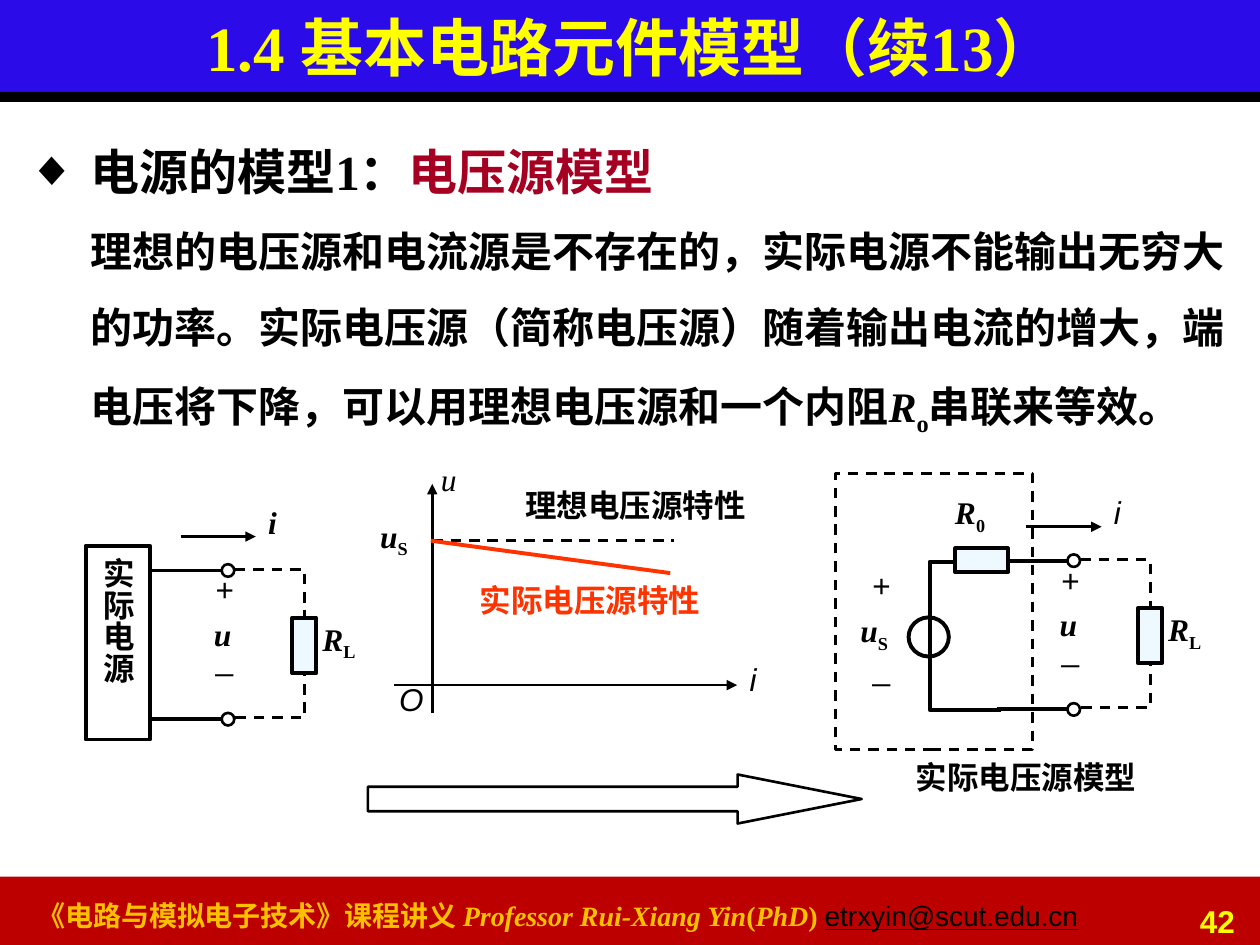
import pptx
import pptx.util
import pptx.dml.color
import pptx.enum.dml
import pptx.enum.shapes
import pptx.enum.text
import pptx.oxml
import pptx.oxml.ns

Pt = pptx.util.Pt
Kind = pptx.enum.shapes.MSO_SHAPE
Align = pptx.enum.text.PP_ALIGN
Anchor = pptx.enum.text.MSO_ANCHOR
SERIF, SANS = "Times New Roman", "Arial"
BLACK, YELLOW, ORANGE, PALE = "000000", "FFFF00", "FF3300", "EDF8FF"
VAR = dict(face=SERIF, bold=True, italic=True)
SUB = dict(italic=False, base=-25)


def color(code):
    return pptx.dml.color.RGBColor.from_string(code)


def child(node, tag, **attrs):
    item = pptx.oxml.parse_xml("<a:%s %s/>" % (tag, pptx.oxml.ns.nsdecls("a")))
    for key, value in attrs.items():
        item.set(key, value)
    node.append(item)


def write(para, text, size=18, face=SANS, ink=BLACK, bold=False,
          italic=False, under=False, base=0):
    run = para.add_run()
    run.text = text
    font = run.font
    font.size, font.name = Pt(size), face
    font.bold, font.italic, font.underline = bold, italic, under
    font.color.rgb = color(ink)
    if base:
        run._r.get_or_add_rPr().set("baseline", str(base * 1000))


class Board:
    thin, thick = 1.5, 2.25

    def __init__(self, slide):
        self.slide = slide
        self.shapes = slide.shapes

    def stroke(self, line, width, ink=BLACK, dash=False):
        line.color.rgb = color(ink)
        line.width = Pt(width)
        if dash:
            line.dash_style = pptx.enum.dml.MSO_LINE.DASH

    def shape(self, kind, x, y, w, h, fill=None, width=0, dash=False):
        item = self.shapes.add_shape(kind, Pt(x), Pt(y), Pt(w), Pt(h))
        item.shadow.inherit = False
        if fill:
            item.fill.solid()
            item.fill.fore_color.rgb = color(fill)
        else:
            item.fill.background()
        if width:
            self.stroke(item.line, width, dash=dash)
        else:
            item.line.fill.background()
        return item

    def line(self, x1, y1, x2, y2, width=thin, ink=BLACK, dash=False, arrow=False):
        item = self.shapes.add_connector(
            pptx.enum.shapes.MSO_CONNECTOR.STRAIGHT, Pt(x1), Pt(y1), Pt(x2), Pt(y2))
        self.stroke(item.line, width, ink, dash)
        if arrow:
            child(item.line._get_or_add_ln(), "tailEnd", type="triangle")
        child(item._element.spPr, "effectLst")

    def track(self, points, width, dash=False):
        spots = [(Pt(x), Pt(y)) for x, y in points]
        build = self.shapes.build_freeform(*spots[0], scale=1.0)
        build.add_line_segments(spots[1:], close=False)
        item = build.convert_to_shape()
        item.shadow.inherit = False
        item.fill.background()
        self.stroke(item.line, width, dash=dash)

    def label(self, x, y, w, h, text, sub="", wrap=False, align=None, **style):
        item = self.shapes.add_textbox(Pt(x), Pt(y), Pt(w), Pt(h))
        item.text_frame.word_wrap = wrap
        para = item.text_frame.paragraphs[0]
        if align:
            para.alignment = align
        if text:
            write(para, text, **style)
        if sub:
            write(para, sub, **{**style, **SUB})
        return para

    def holder(self, index, x, y, w, h, anchor):
        item = self.slide.placeholders[index]
        item.left, item.top, item.width, item.height = Pt(x), Pt(y), Pt(w), Pt(h)
        self.shapes._spTree.append(item._element)
        frame = item.text_frame
        frame.word_wrap = True
        frame.auto_size = pptx.enum.text.MSO_AUTO_SIZE.NONE
        frame.vertical_anchor = anchor
        para = frame.paragraphs[0]
        para.space_before = Pt(0)
        return para

    def signs(self, x, y, gap):
        self.label(x, y, 28, 36, "+")
        self.label(x, y + gap, 27, 36, "_")

    def load(self, x, y, **style):
        for row in (y, y + 85):
            self.line(x - 40.5, row, x + 1, row, self.thick)
            self.shape(Kind.OVAL, x, row - 3.6, 7.2, 7.2, width=self.thin)
        self.signs(x - 10.5, y - 3.6, 39.5)
        self.label(x - 11.5, y + 22, 24.5, 29, "u", **VAR)
        self.line(x - 23.5, y - 19.4, x + 19.5, y - 19.4, arrow=True)
        self.label(x + 19.5, y - 42, 20, 29, "i", **style)
        self.track([(x + 7.5, y - 0.5), (x + 47.3, y - 0.5),
                    (x + 47.3, y + 84), (x + 7.5, y + 84)], self.thin, dash=True)
        self.shape(Kind.RECTANGLE, x + 40.3, y + 27, 13.7, 31.7, PALE, self.thick)
        self.label(x + 50.4, y + 24.5, 34.5, 29, "R", "L", **VAR)


def heading(board):
    board.shape(Kind.RECTANGLE, -1.5, 501, 723, 40, "BC0000")
    board.shape(Kind.RECTANGLE, -1.5, 0, 723, 54.7, "2B0CE8")
    board.shape(Kind.RECTANGLE, -1, 52.5, 722, 5.7, BLACK)
    title = board.holder(0, 0, 0, 721.5, 52.5, Anchor.MIDDLE)
    title.alignment = Align.CENTER
    write(title, "1.4 基本电路元件模型（续13）", 36, SERIF, YELLOW, True)

    body = board.holder(1, 8.6, 60.5, 700, 436, Anchor.TOP)
    body.line_spacing = 1.5
    props = body._p.get_or_add_pPr()
    props.set("marL", str(Pt(36)))
    props.set("indent", str(-Pt(36)))
    child(props, "buChar", char="◆")
    write(body, "电源的模型1：", 28, SERIF, bold=True)
    write(body, "电压源模型", 28, SERIF, "A50021", True)
    body.add_line_break()
    text = dict(size=24, face=SERIF, bold=True)
    write(body, "理想的电压源和电流源是不存在的，实际电源不能输出无穷大的功率。"
          "实际电压源（简称电压源）随着输出电流的增大，端电压将下降，"
          "可以用理想电压源和一个内阻", **text)
    write(body, "R", italic=True, **text)
    write(body, "o", base=-25, **text)
    write(body, "串联来等效。", **text)


def footer(board):
    style = dict(size=16, face=SERIF, ink="FFC000", bold=True)
    foot = board.label(14.4, 509.8, 635, 26.6, "《电路与模拟电子技术》课程讲义 ",
                       wrap=True, **style)
    for text, slant in (("Professor Rui-Xiang Yin", True), ("(", False),
                        ("PhD", True), (") ", False)):
        write(foot, text, italic=slant, **style)
    write(foot, "etrxyin@scut.edu.cn", 16, under=True)
    board.label(645, 512, 67.7, 22.3, "42", wrap=True, align=Align.RIGHT,
                ink=YELLOW, bold=True)


def source(board):
    box = board.shape(Kind.RECTANGLE, 49, 311.8, 36.7, 110.8, width=board.thick)
    frame = box.text_frame
    frame._txBody.bodyPr.set("vert", "eaVert")
    frame.vertical_anchor = Anchor.MIDDLE
    frame.margin_bottom = Pt(27)
    para = frame.paragraphs[0]
    para.alignment = Align.CENTER
    write(para, "实际电源", bold=True)
    board.load(126.7, 326, **VAR)
    arrow = board.shape(Kind.RIGHT_ARROW, 210.2, 442.6, 282.2, 28, width=board.thin)
    arrow.adjustments[0] = 0.5
    arrow.adjustments[1] = 2.53


def chart(board):
    board.line(225.4, 391.5, 421.2, 391.5, arrow=True)
    board.line(247, 407.5, 247, 276.5, arrow=True)
    board.line(247, 309, 385.2, 309, dash=True)
    board.line(246.2, 309, 383, 327.5, board.thick, ORANGE)
    board.label(244.8, 259.2, 23.8, 29, "u", face=SERIF, italic=True)
    board.label(421.2, 373.7, 20.9, 36, "i", italic=True)
    board.label(221, 385.2, 28.8, 29, "O", italic=True)
    board.label(210.2, 291.6, 31.7, 29, "u", "S", **VAR)
    board.label(293, 274.3, 142.6, 29, "理想电压源特性", bold=True)
    board.label(267.1, 328.3, 142.6, 29, "实际电压源特性", bold=True, ink=ORANGE)


def model(board):
    board.label(516.2, 429.8, 142.6, 29, "实际电压源模型", bold=True)
    board.load(610, 320.4, italic=True)
    board.track([(571, 321), (531.2, 321), (531.2, 405.6), (571.7, 405.6)], board.thick)
    board.shape(Kind.RECTANGLE, 545.8, 313.4, 30.2, 13.7, PALE, board.thick)
    board.shape(Kind.OVAL, 519.2, 352.8, 23, 22.4, width=board.thick)
    board.signs(491.5, 319.7, 47.5)
    board.label(484.6, 345.6, 31.7, 29, "u", "S", **VAR)
    board.label(538.6, 278, 32.4, 29, "R", "0", **VAR)
    board.shape(Kind.RECTANGLE, 477.4, 270.6, 112.5, 157.7, width=board.thin, dash=True)


def main():
    deck = pptx.Presentation()
    deck.slide_width, deck.slide_height = Pt(720), Pt(540)
    board = Board(deck.slides.add_slide(deck.slide_layouts[1]))
    for draw in (heading, footer, source, chart, model):
        draw(board)
    deck.save("out.pptx")


if __name__ == "__main__":
    main()
